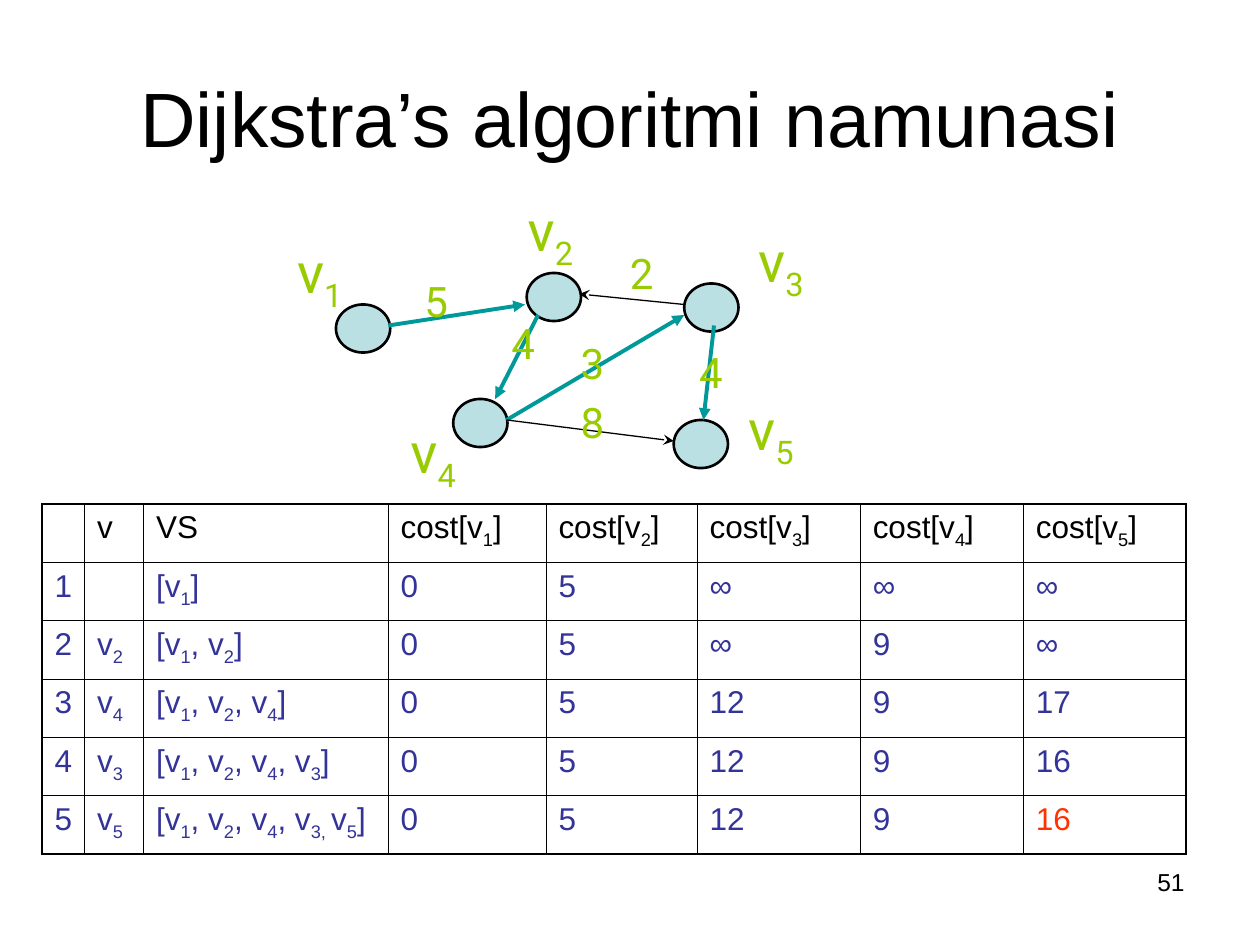
from lxml.etree import SubElement
from pptx import Presentation
from pptx.dml.color import RGBColor
from pptx.enum.shapes import MSO_CONNECTOR as CONN, MSO_SHAPE as SHAPE
from pptx.enum.text import MSO_ANCHOR as ANCHOR, MSO_AUTO_SIZE as AUTO, PP_ALIGN as ALIGN
from pptx.oxml import parse_xml
from pptx.oxml.ns import nsdecls, qn
from pptx.util import Pt

BLACK, TEAL, LIME, NAVY, RED = "000000", "009999", "99CC00", "333399", "FF3300"
NODE_FILL = "BBE0E3"

# In every text, the parts between bars are subscripts: "v|1|"
TITLE = "Dijkstra’s algoritmi namunasi"
PAGE = "51"

# node: left, top of the circle; left, top of its label
NODES = {
    "v|1": ((192, 174), (162.7, 132)),
    "v|2": ((301, 156), (294.5, 108)),
    "v|3": ((391, 162), (426.2, 126)),
    "v|4": ((259, 228), (227.5, 235)),
    "v|5": ((385, 240), (420.5, 222)),
}
NODE_SIZE = (31, 27.5)

# weight, label left and top, start, end, on the shortest path
EDGES = [
    ("5", (235.5, 154), (222, 186), (300, 174), True),
    ("2", (352.8, 138), (391, 174), (331, 168), False),
    ("4", (285.1, 178), (307.5, 180), (283, 228), True),
    ("3", (324.7, 189.4), (289.5, 240), (391, 180), True),
    ("4", (392.4, 194.4), (408, 186), (402, 240), True),
    ("8", (324.7, 223.2), (289.5, 240), (385, 252), False),
]

HEADER = ["", "v", "VS"] + [f"cost[v|{n}|]" for n in range(1, 6)]
ROWS = [
    ["1", "", "[v|1|]", "0", "5", "∞", "∞", "∞"],
    ["2", "v|2", "[v|1|, v|2|]", "0", "5", "∞", "9", "∞"],
    ["3", "v|4", "[v|1|, v|2|, v|4|]", "0", "5", "12", "9", "17"],
    ["4", "v|3", "[v|1|, v|2|, v|4|, v|3|]", "0", "5", "12", "9", "16"],
    ["5", "v|5", "[v|1|, v|2|, v|4|, v|3, |v|5|]", "0", "5", "12", "9", "16"],
]
COL_WIDTHS = [24.3, 33.7, 139.8, 90.2, 86.4, 93.2, 93.2, 93.2]
ROW_HEIGHT = 33.35
TABLE_LEFT, TABLE_TOP = 24, 288


def rgb(value):
    return RGBColor.from_string(value)


def write(tf, text, size, color, font="Arial", align=ALIGN.LEFT):
    p = tf.paragraphs[0]
    p.alignment = align
    p.font.size, p.font.name = Pt(size), font
    p.font.color.rgb = rgb(color)
    for i, part in enumerate(text.split("|")):
        if part:
            r = p.add_run()
            r.text = part
            if i % 2:
                r._r.get_or_add_rPr().set("baseline", "-25000")


def add_text(s, box, text, size, color, wrap=True, anchor=ANCHOR.TOP, **style):
    tf = s.shapes.add_textbox(*map(Pt, box)).text_frame
    tf.word_wrap = wrap
    tf.auto_size = AUTO.NONE if wrap else AUTO.SHAPE_TO_FIT_TEXT
    tf.vertical_anchor = anchor
    write(tf, text, size, color, **style)


def add_node(s, at):
    sp = s.shapes.add_shape(SHAPE.OVAL, *map(Pt, at + NODE_SIZE))
    sp.shadow.inherit = False
    sp.fill.solid()
    sp.fill.fore_color.rgb = rgb(NODE_FILL)
    sp.line.color.rgb = rgb(BLACK)
    sp.line.width = Pt(1.5)


def add_arrow(s, start, end, chosen):
    c = s.shapes.add_connector(CONN.STRAIGHT, *map(Pt, start + end))
    c.line.color.rgb = rgb(TEAL if chosen else BLACK)
    c.line.width = Pt(2.25 if chosen else 0.75)
    SubElement(c.line._get_or_add_ln(), qn("a:tailEnd"),
               type="triangle" if chosen else "stealth")
    SubElement(c._element.spPr, qn("a:effectLst"))


def set_borders(cell, outer):
    """Draw all four sides, heavier on those named in outer."""
    tcPr = cell._tc.get_or_add_tcPr()
    for i, side in enumerate("LRTB"):
        width = Pt(1.08 if side in outer else 0.45)
        tcPr.insert(i, parse_xml(
            f'<a:ln{side} {nsdecls("a")} w="{width}"><a:solidFill>'
            f'<a:srgbClr val="{BLACK}"/></a:solidFill></a:ln{side}>'))


def add_cost_table(s):
    data = [HEADER] + ROWS
    last_row, last_col = len(data) - 1, len(HEADER) - 1
    table = s.shapes.add_table(
        len(data), len(HEADER), Pt(TABLE_LEFT), Pt(TABLE_TOP),
        Pt(sum(COL_WIDTHS)), Pt(ROW_HEIGHT * len(data))).table
    table.first_row = table.horz_banding = False
    for col, width in zip(table.columns, COL_WIDTHS):
        col.width = Pt(width)
    for y, row in enumerate(data):
        table.rows[y].height = Pt(ROW_HEIGHT)
        for x, text in enumerate(row):
            cell = table.cell(y, x)
            cell.fill.background()
            final = (y, x) == (last_row, last_col)
            write(cell.text_frame, text, 18,
                  RED if final else NAVY if y else BLACK)
            sides = {"L": x == 0, "R": x == last_col, "T": y == 0, "B": y == last_row}
            set_borders(cell, [side for side, edge in sides.items() if edge])


def main():
    prs = Presentation()
    prs.slide_width, prs.slide_height = Pt(720), Pt(540)
    s = prs.slides.add_slide(prs.slide_layouts[6])

    # Title and page number
    add_text(s, (36, 21.6, 648, 90), TITLE, 44, BLACK,
             anchor=ANCHOR.MIDDLE, align=ALIGN.CENTER)
    add_text(s, (516, 492, 168, 37.5), PAGE, 14, BLACK, align=ALIGN.RIGHT)

    # Graph: circles, arrows, then labels on top
    for at, _ in NODES.values():
        add_node(s, at)
    for _, _, start, end, chosen in EDGES:
        add_arrow(s, start, end, chosen)
    for name, (_, at) in NODES.items():
        add_text(s, at + (41, 51), name, 32, LIME, wrap=False, font="Roboto")
    for weight, at, *_ in EDGES:
        add_text(s, at + (28, 36), weight, 24, LIME, wrap=False, font="Roboto")

    # Table of costs
    add_cost_table(s)
    prs.save("out.pptx")


if __name__ == "__main__":
    main()
